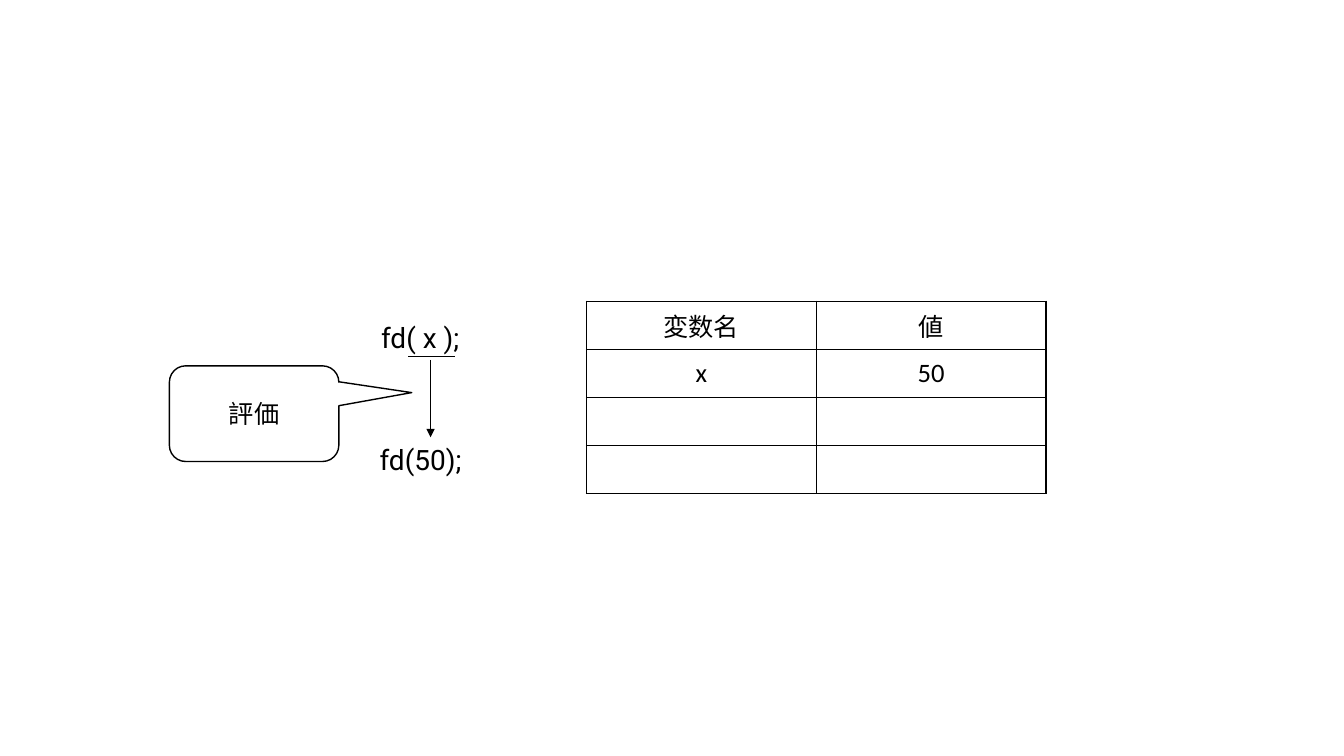
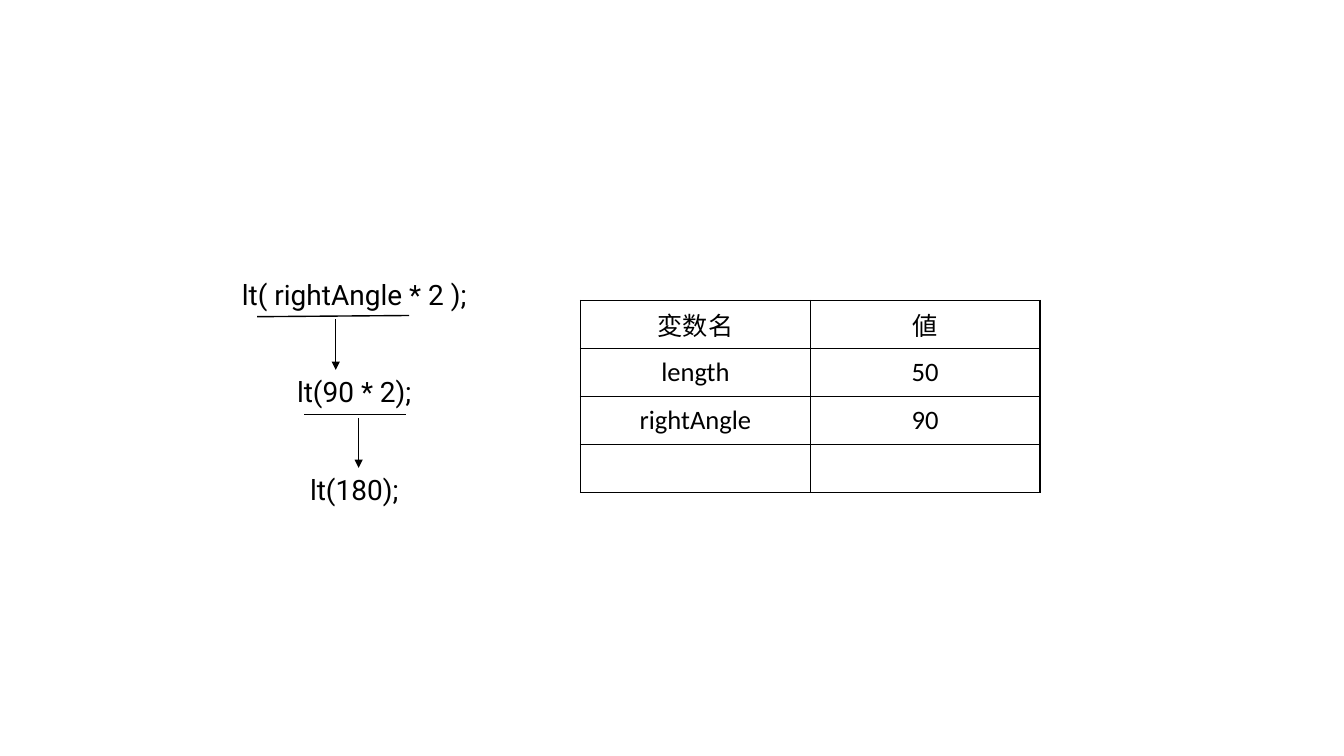
"""Build two slides that show how expressions are evaluated with a table of variables."""
from dataclasses import dataclass

import pptx
import pptx.dml.color
import pptx.enum.shapes
import pptx.enum.text
import pptx.oxml
import pptx.oxml.ns
import pptx.util
from pptx.util import Cm

INK = "000000"
PAPER = "FFFFFF"
LINE_WIDTH = pptx.util.Pt(1)
CODE_HEIGHT = 1.12
COLUMN_WIDTH = 5.79
ROW_HEIGHT = 1.21
ROW_COUNT = 4
HEADINGS = ("変数名", "値")


@dataclass(frozen=True)
class Code:
    text: str
    left: float
    top: float
    width: float


@dataclass(frozen=True)
class Stroke:
    x1: float
    y1: float
    x2: float
    y2: float
    arrow: bool = False


@dataclass(frozen=True)
class Callout:
    text: str
    left: float
    top: float
    width: float
    height: float
    adjustments: tuple[float, ...]


@dataclass(frozen=True)
class Evaluation:
    table_left: float
    table_top: float
    variables: tuple[tuple[str, str], ...]
    steps: tuple[Code, ...]
    strokes: tuple[Stroke, ...]
    callouts: tuple[Callout, ...] = ()


EVALUATIONS = (
    Evaluation(
        14.78, 7.59,
        (("x", "50"),),
        (Code("fd( x );", 9.17, 7.95, 2.84), Code("fd(50);", 9.09, 11.02, 3.02)),
        (Stroke(10.29, 8.99, 11.46, 8.99), Stroke(10.85, 9.07, 10.85, 11.02, arrow=True)),
        (Callout("評価", 4.27, 9.22, 4.27, 2.41, (0.93, -0.22, 0.17)),),
    ),
    Evaluation(
        14.63, 7.57,
        (("length", "50"), ("rightAngle", "90")),
        (
            Code("lt( rightAngle * 2 );", 5.41, 6.86, 7.04),
            Code("lt(90 * 2);", 6.91, 9.32, 4.04),
            Code("lt(180);", 7.29, 11.79, 3.28),
        ),
        (
            Stroke(6.48, 7.98, 10.31, 7.95),
            Stroke(8.46, 8.05, 8.46, 9.32, arrow=True),
            Stroke(7.67, 10.44, 10.24, 10.44),
            Stroke(9.04, 10.54, 9.04, 11.79, arrow=True),
        ),
    ),
)


def color(value: str) -> pptx.dml.color.RGBColor:
    return pptx.dml.color.RGBColor.from_string(value)


def write(frame, text: str, size: float, font_name: str) -> None:
    frame.text = text
    paragraph = frame.paragraphs[0]
    paragraph.alignment = pptx.enum.text.PP_ALIGN.CENTER
    for run in paragraph.runs:
        run.font.size = pptx.util.Pt(size)
        run.font.name = font_name
        run.font.color.rgb = color(INK)


def ink_line(line) -> None:
    line.color.rgb = color(INK)
    line.width = LINE_WIDTH


def add_borders(cell) -> None:
    properties = cell._tc.get_or_add_tcPr()
    for side in ("lnL", "lnR", "lnT", "lnB"):
        properties.append(pptx.oxml.parse_xml(
            f'<a:{side} {pptx.oxml.ns.nsdecls("a")} w="{LINE_WIDTH}">'
            f'<a:solidFill><a:srgbClr val="{INK}"/></a:solidFill></a:{side}>'
        ))


def add_variables(slide, evaluation: Evaluation) -> None:
    table = slide.shapes.add_table(
        ROW_COUNT, len(HEADINGS), Cm(evaluation.table_left), Cm(evaluation.table_top),
        Cm(COLUMN_WIDTH * len(HEADINGS)), Cm(ROW_HEIGHT * ROW_COUNT),
    ).table
    table.first_row = table.horz_banding = False
    for column in table.columns:
        column.width = Cm(COLUMN_WIDTH)
    for row in table.rows:
        row.height = Cm(ROW_HEIGHT)
    for cell in table.iter_cells():
        cell.vertical_anchor = pptx.enum.text.MSO_ANCHOR.MIDDLE
        cell.margin_left = cell.margin_right = Cm(0.28)
        cell.margin_top = cell.margin_bottom = Cm(0.15)
        add_borders(cell)
        cell.fill.background()
    for row_index, entry in enumerate((HEADINGS, *evaluation.variables)):
        for column_index, text in enumerate(entry):
            frame = table.cell(row_index, column_index).text_frame
            write(frame, text, 19 if row_index else 18, "Calibri")


def add_code(slide, code: Code) -> None:
    frame = slide.shapes.add_textbox(
        Cm(code.left), Cm(code.top), Cm(code.width), Cm(CODE_HEIGHT)
    ).text_frame
    frame.word_wrap = False
    frame.auto_size = pptx.enum.text.MSO_AUTO_SIZE.SHAPE_TO_FIT_TEXT
    write(frame, code.text, 20, "Roboto")


def add_callout(slide, callout: Callout) -> None:
    bubble = slide.shapes.add_shape(
        pptx.enum.shapes.MSO_SHAPE.ROUNDED_RECTANGULAR_CALLOUT,
        Cm(callout.left), Cm(callout.top), Cm(callout.width), Cm(callout.height),
    )
    for index, value in enumerate(callout.adjustments):
        bubble.adjustments[index] = value
    bubble.shadow.inherit = False
    bubble.fill.solid()
    bubble.fill.fore_color.rgb = color(PAPER)
    ink_line(bubble.line)
    bubble.text_frame.vertical_anchor = pptx.enum.text.MSO_ANCHOR.MIDDLE
    write(bubble.text_frame, callout.text, 18, "Arial")


def add_stroke(slide, stroke: Stroke) -> None:
    connector = slide.shapes.add_connector(
        pptx.enum.shapes.MSO_CONNECTOR.STRAIGHT,
        Cm(stroke.x1), Cm(stroke.y1), Cm(stroke.x2), Cm(stroke.y2),
    )
    ink_line(connector.line)
    namespace = pptx.oxml.ns.nsdecls("a")
    if stroke.arrow:
        connector.line._get_or_add_ln().append(
            pptx.oxml.parse_xml(f'<a:tailEnd {namespace} type="triangle"/>')
        )
    connector._element.spPr.append(pptx.oxml.parse_xml(f"<a:effectLst {namespace}/>"))


def add_evaluation(deck, evaluation: Evaluation) -> None:
    slide = deck.slides.add_slide(deck.slide_layouts[6])
    add_variables(slide, evaluation)
    for code in evaluation.steps:
        add_code(slide, code)
    for callout in evaluation.callouts:
        add_callout(slide, callout)
    for stroke in evaluation.strokes:
        add_stroke(slide, stroke)


def main() -> None:
    deck = pptx.Presentation()
    deck.slide_width, deck.slide_height = Cm(33.87), Cm(19.05)
    for evaluation in EVALUATIONS:
        add_evaluation(deck, evaluation)
    deck.save("out.pptx")


if __name__ == "__main__":
    main()
